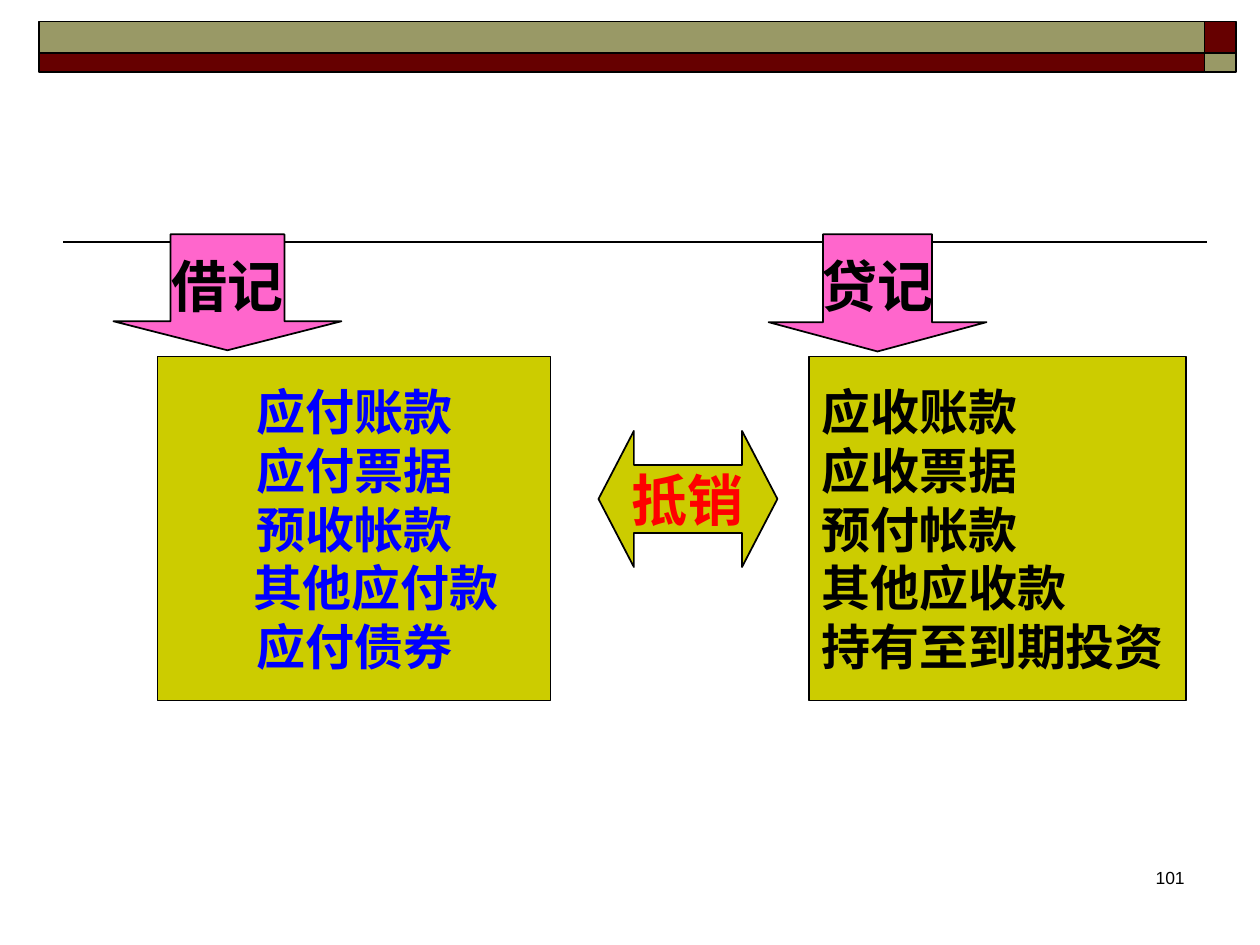
from pptx import Presentation
from pptx import util as u
from pptx.dml.color import RGBColor
from pptx.enum import shapes, text
from pptx.oxml.ns import qn
from lxml import etree

COLORS = {
    "maroon": "660000", "khaki": "999966", "olive": "CCCC00", "pink": "FF66CC",
    "black": "000000", "blue": "0000FF", "red": "FF0000",
}
BODY = {"name": "Times New Roman", "size": u.Pt(28), "bold": True}
LABEL = {"name": "Times New Roman", "size": u.Pt(32), "bold": True}
FOOTER = {"name": "Arial", "size": u.Pt(10)}
PRESET = shapes.MSO_SHAPE
ALIGN = text.PP_ALIGN


def color(name):
    return RGBColor.from_string(COLORS[name])


def inches(box):
    return [u.Inches(length) for length in box]


def add_block(slide, preset, box, fill):
    block = slide.shapes.add_shape(preset, *inches(box))
    block.shadow.inherit = False
    block.fill.solid()
    block.fill.fore_color.rgb = color(fill)
    block.line.color.rgb = color("black")
    block.line.width = u.Pt(1)
    return block


def write(shape, lines, style, ink, align, wrap, anchor=text.MSO_ANCHOR.MIDDLE):
    frame = shape.text_frame
    frame.word_wrap = wrap
    frame.vertical_anchor = anchor
    frame.text = "\n".join(lines)
    for paragraph in frame.paragraphs:
        paragraph.alignment = align
        for key, value in style.items():
            setattr(paragraph.font, key, value)
        paragraph.font.color.rgb = color(ink)
    return frame


def add_rule(slide, left, right, y):
    rule = slide.shapes.add_connector(
        shapes.MSO_CONNECTOR.STRAIGHT, *inches((left, y, right, y)))
    rule.line.color.rgb = color("black")
    rule.line.width = u.Pt(1)
    etree.SubElement(rule._element.spPr, qn("a:effectLst"))


def add_banner(slide, box):
    left, top, width, height = box
    corner, upper = 0.25, 0.25
    columns = [(left, width - corner), (left + width - corner, corner)]
    rows = [(top, upper), (top + upper, height - upper)]
    for r, (y, h) in enumerate(rows):
        for c, (x, w) in enumerate(columns):
            fill = "khaki" if r == c == 0 or r == c == 1 else "maroon"
            add_block(slide, PRESET.RECTANGLE, (x, y, w, h), fill)


def add_accounts(slide, box, accounts, ink, align):
    panel = add_block(slide, PRESET.RECTANGLE, box, "olive")
    return write(panel, accounts, BODY, ink, align, True)


def add_arrow(slide, preset, box, adjustments, fill, label, ink):
    arrow = add_block(slide, preset, box, fill)
    for index, value in enumerate(adjustments):
        arrow.adjustments[index] = value
    write(arrow, [label], LABEL, ink, ALIGN.CENTER, False)


def add_page_number(slide, box, number):
    page = slide.shapes.add_textbox(*inches(box))
    write(page, [number], FOOTER, "black", ALIGN.RIGHT, True, text.MSO_ANCHOR.TOP)


def main():
    deck = Presentation()
    deck.slide_width, deck.slide_height = inches((10, 7.5))
    slide = deck.slides.add_slide(deck.slide_layouts[6])

    add_rule(slide, 0.5, 9.58, 1.92)
    add_banner(slide, (0.31, 0.17, 9.5, 0.4))

    payables = add_accounts(
        slide, (1.25, 2.83, 3.12, 2.73),
        ["应付账款", "应付票据", "预收帐款", "其他应付款", "应付债券"],
        "blue", ALIGN.CENTER)
    other_payables = payables.paragraphs[3]
    other_payables._p.get_or_add_pPr().set("marL", str(u.Inches(0.35)))
    add_accounts(
        slide, (6.42, 2.83, 2.99, 2.73),
        ["应收账款", "应收票据", "预付帐款", "其他应收款", "持有至到期投资"],
        "black", ALIGN.LEFT)

    add_arrow(slide, PRESET.LEFT_RIGHT_ARROW, (4.75, 3.42, 1.42, 1.08),
              (0.5, 0.26), "olive", "抵销", "red")
    for label, box in (("借记", (0.9, 1.86, 1.81, 0.92)),
                       ("贷记", (6.1, 1.86, 1.73, 0.93))):
        add_arrow(slide, PRESET.DOWN_ARROW, box, (0.5, 0.25), "pink", label, "black")

    add_page_number(slide, (7.42, 6.83, 2.08, 0.5), "101")
    deck.save("out.pptx")


if __name__ == "__main__":
    main()
